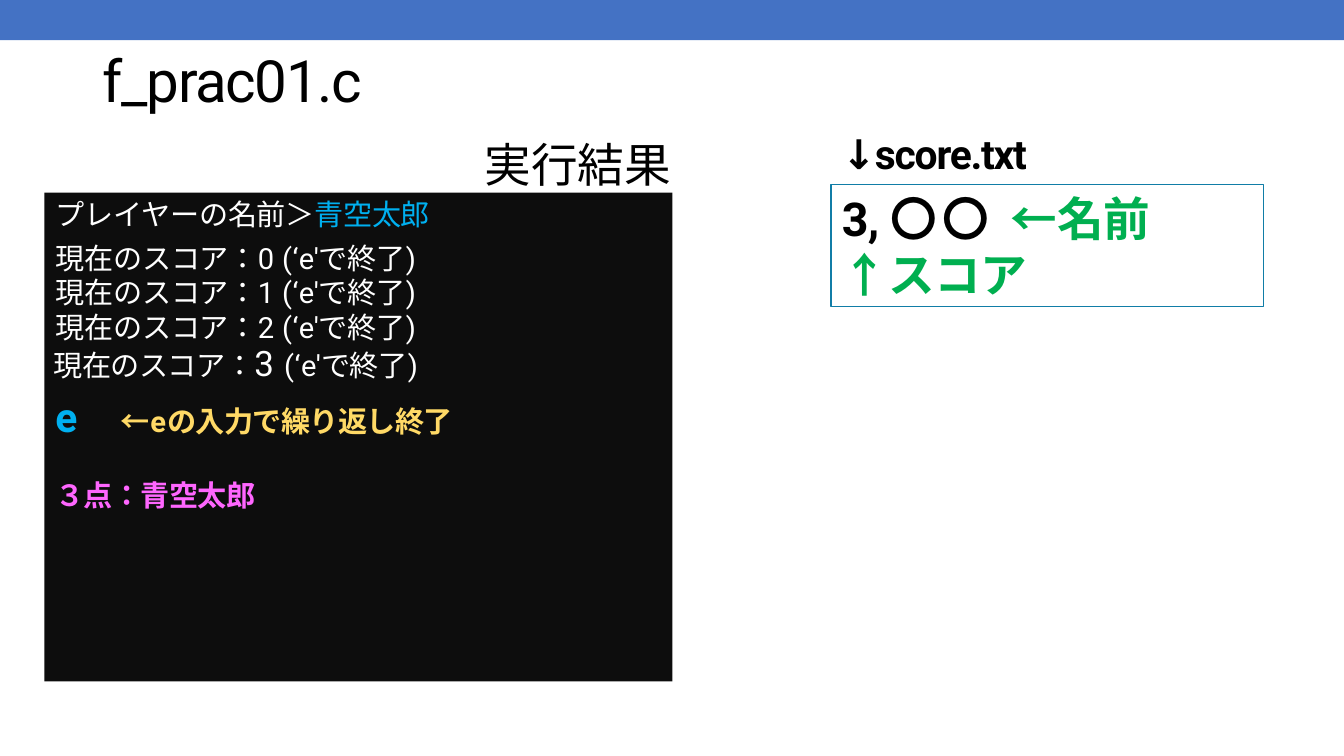
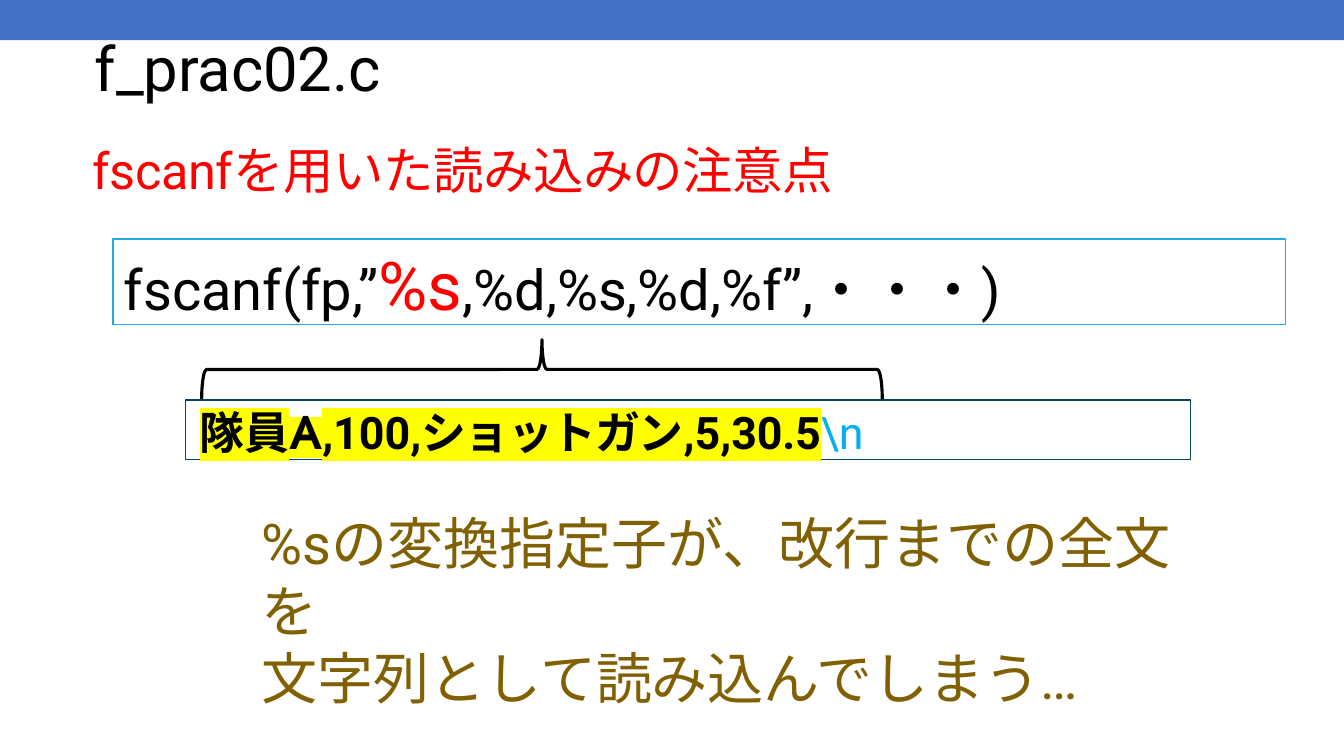
from dataclasses import dataclass

from lxml import etree
from pptx import Presentation
from pptx.dml.color import RGBColor
from pptx.enum.lang import MSO_LANGUAGE_ID
from pptx.enum.shapes import MSO_SHAPE
from pptx.enum.text import MSO_ANCHOR, MSO_AUTO_SIZE, PP_ALIGN
from pptx.oxml.ns import qn
from pptx.util import Inches, Pt

RECTANGLE = MSO_SHAPE.RECTANGLE
LEFT_BRACE = MSO_SHAPE.LEFT_BRACE
TOP = MSO_ANCHOR.TOP
MIDDLE = MSO_ANCHOR.MIDDLE
LEFT = PP_ALIGN.LEFT
NO_FIT = MSO_AUTO_SIZE.NONE
JAPANESE = MSO_LANGUAGE_ID.JAPANESE

ROBOTO = "Roboto"
NOTO = "Noto Sans CJK JP"
ADVENTOR = "TeX Gyre Adventor"
TITLE_ONLY = 5
CONSOLE_SIZE = 20.8
PLAYER = "青空太郎"

COLORS = {
    "band": "4472C4",
    "console": "0D0D0D",
    "white": "FFFFFF",
    "black": "000000",
    "input": "00B0F0",
    "hint": "FFD966",
    "score": "FF66FF",
    "gold": "FFC000",
    "green": "00AF50",
    "red": "FF0000",
    "brown": "806000",
    "yellow": "FFFF00",
    "file_line": "117DA7",
    "record_line": "05465F",
    "code_line": "1CACE3",
}


@dataclass
class Span:
    text: str
    size: float
    color: str = "black"
    face: str = ROBOTO
    bold: bool = False
    spacing: float = 0
    mark: str = ""


def rgb(name):
    return RGBColor.from_string(COLORS[name])


def add_span(para, span):
    run = para.add_run()
    run.text = span.text
    font = run.font
    font.size = Pt(span.size)
    font.bold = span.bold
    font.name = span.face
    font.language_id = JAPANESE
    font.color.rgb = rgb(span.color)
    properties = run._r.get_or_add_rPr()
    if span.spacing:
        properties.set("spc", str(round(span.spacing * 100)))
    if span.mark:
        highlight = etree.Element(qn("a:highlight"))
        etree.SubElement(highlight, qn("a:srgbClr")).set("val", COLORS[span.mark])
        properties.find(qn("a:solidFill")).addnext(highlight)
    east_asian = etree.Element(qn("a:ea"))
    east_asian.set("typeface", ROBOTO)
    properties.find(qn("a:latin")).addnext(east_asian)


def write(shape, lines, left=0.02, top=0.01, anchor=TOP, gap=0):
    frame = shape.text_frame
    frame.word_wrap = True
    frame.auto_size = NO_FIT
    frame.vertical_anchor = anchor
    frame.margin_left = Inches(left)
    frame.margin_top = Inches(top)
    frame.margin_right = frame.margin_bottom = 0
    for index, spans in enumerate(lines):
        para = frame.add_paragraph() if index else frame.paragraphs[0]
        para.alignment = LEFT
        if index:
            para.space_before = Pt(gap)
        for span in spans:
            add_span(para, span)


def add_text(slide, place, lines, **layout):
    box = slide.shapes.add_textbox(*map(Inches, place))
    write(box, lines, **layout)


def add_box(slide, place, fill=None, line=None, width=1, kind=RECTANGLE):
    box = slide.shapes.add_shape(kind, *map(Inches, place))
    box.shadow.inherit = False
    if fill:
        box.fill.solid()
        box.fill.fore_color.rgb = rgb(fill)
    else:
        box.fill.background()
    if line:
        box.line.color.rgb = rgb(line)
        box.line.width = Pt(width)
    else:
        box.line.fill.background()
    return box


def add_band(deck, slide):
    band = add_box(slide, (0, 0, 13.33, 0.4), fill="band")
    deck.slide_master.shapes.element.insert(2, band.element)


def add_slide(deck, place, span, line_spacing=1.0, **layout):
    slide = deck.slides.add_slide(deck.slide_layouts[TITLE_ONLY])
    title = slide.shapes.title
    title.left, title.top, title.width, title.height = map(Inches, place)
    write(title, [[span]], anchor=MIDDLE, **layout)
    title.text_frame.paragraphs[0].line_spacing = line_spacing
    return slide


def console(text, color="white", face=ROBOTO, **style):
    return Span(text, CONSOLE_SIZE, color, face, **style)


def score_line(value):
    return [
        console("現在のスコア：", face=NOTO, spacing=-0.1),
        console(value),
        console(" (‘", spacing=0.4),
        console("e'", spacing=-0.2),
        console("で終了", face=NOTO, spacing=-0.1),
        console(")", spacing=-0.5),
    ]


def last_score_line():
    label, value, opening, *ending = score_line("3")
    label.spacing = -0.3
    value.size, value.spacing = 25, -1.2
    gap = Span(" ", 29.1, "gold", bold=True, spacing=-2.1)
    opening.text = "(‘"
    return [label, value, gap, opening, *ending]


def add_console(slide):
    add_box(slide, (0.44, 1.91, 6.23, 4.85), fill="console")
    add_text(slide, (0.53, 1.94, 4.23, 0.36), [[
        console("プレイヤーの名前＞", face=NOTO, spacing=-0.1),
        console(PLAYER, "input", spacing=-0.3),
    ]])
    add_text(slide, (0.53, 2.36, 5.87, 0.38), [score_line("0")], top=0.02)
    add_text(slide, (0.53, 2.7, 5.87, 0.74),
             [score_line("1"), score_line("2")], top=0.02)
    add_text(slide, (0.51, 3.32, 5.94, 0.52), [last_score_line()])
    add_text(slide, (0.53, 3.88, 4.23, 1.57), [
        [
            Span("e　", 29.1, "input", bold=True, spacing=0.7),
            console("←e", "hint", bold=True, spacing=0.7),
            console("の入力で繰り返し終了", "hint", NOTO, bold=True, spacing=-0.4),
        ],
        [console(f"３点：{PLAYER}", "score", NOTO, bold=True, spacing=-0.4)],
    ], gap=26)


def add_score_file(slide):
    size = 33.3
    box = add_box(slide, (8.24, 1.83, 4.29, 1.21), "white", "file_line")
    write(box, [
        [
            Span("3, ", size, bold=True, spacing=-0.5),
            Span("〇〇 ", size, face=NOTO, bold=True, spacing=3.7),
            Span("←", size, "green", bold=True),
            Span("名前", size, "green", NOTO, True, -0.4),
        ],
        [Span("↑スコア", size, "green", NOTO, True, -0.4)],
    ], left=0.11, top=0.05)
    add_text(slide, (8.33, 1.27, 3.11, 0.52),
             [[Span("↓score.txt", 29.1, bold=True, spacing=-0.9)]])


def build_result_slide(deck):
    slide = add_slide(deck, (0.92, 0.4, 11.5, 0.85),
                      Span("f_prac01.c", 41.6, spacing=-1),
                      line_spacing=0.9, left=0.1, top=0)
    add_band(deck, slide)
    add_console(slide)
    add_score_file(slide)
    add_text(slide, (3.46, 0.98, 3.53, 0.96),
             [[Span("実行結果", 33.3, face=NOTO, spacing=-0.2)]],
             left=1.35, top=0.37)


def add_record(slide):
    size = 32
    parts = [
        ("隊員", NOTO, -0.2),
        ("A", ADVENTOR, 0),
        (",100,", ROBOTO, 0),
        ("ショットガン", NOTO, -1),
        (",5,", ROBOTO, 0),
        ("30.5", ROBOTO, -0.2),
    ]
    spans = [Span(text, size, face=face, bold=True, spacing=spacing, mark="yellow")
             for text, face, spacing in parts]
    spans.append(Span("\\n", size, "input", spacing=-0.2))
    box = add_box(slide, (1.84, 3.97, 9.97, 0.59), "white", "record_line")
    write(box, [spans], left=0.14, top=0.05)


def build_caution_slide(deck):
    slide = add_slide(deck, (0.92, 0.28, 11.5, 0.75),
                      Span("f_prac02.c", 44, spacing=-0.1))
    add_text(slide, (0.9, 1.37, 9.68, 0.62), [[
        Span("fscanf", 36, "red", spacing=-0.3),
        Span("を用いた読み込みの注意点", 36, "red", NOTO, spacing=-0.3),
    ]])
    add_record(slide)
    code = add_box(slide, (1.12, 2.37, 11.63, 0.85), line="code_line")
    write(code, [[
        Span("fscanf(fp,”", 40),
        Span("%s", 48, "red"),
        Span(",%d,%s,%d,%f”,・・・)", 40),
    ]], left=0.11, top=0.04)
    brace = add_box(slide, (5.08, 0.29, 0.59, 6.75), line="black",
                    width=2.25, kind=LEFT_BRACE)
    brace.rotation = 90
    add_text(slide, (2.5, 5, 9.59, 1.45), [
        [Span("%sの変換指定子が、改行までの全文を", 40, "brown")],
        [Span("文字列として読み込んでしまう…", 40, "brown")],
    ], left=0.1, top=0.05)


def main():
    deck = Presentation()
    deck.slide_width = Inches(13.33)
    deck.slide_height = Inches(7.5)
    build_result_slide(deck)
    build_caution_slide(deck)
    deck.save("out.pptx")


if __name__ == "__main__":
    main()
